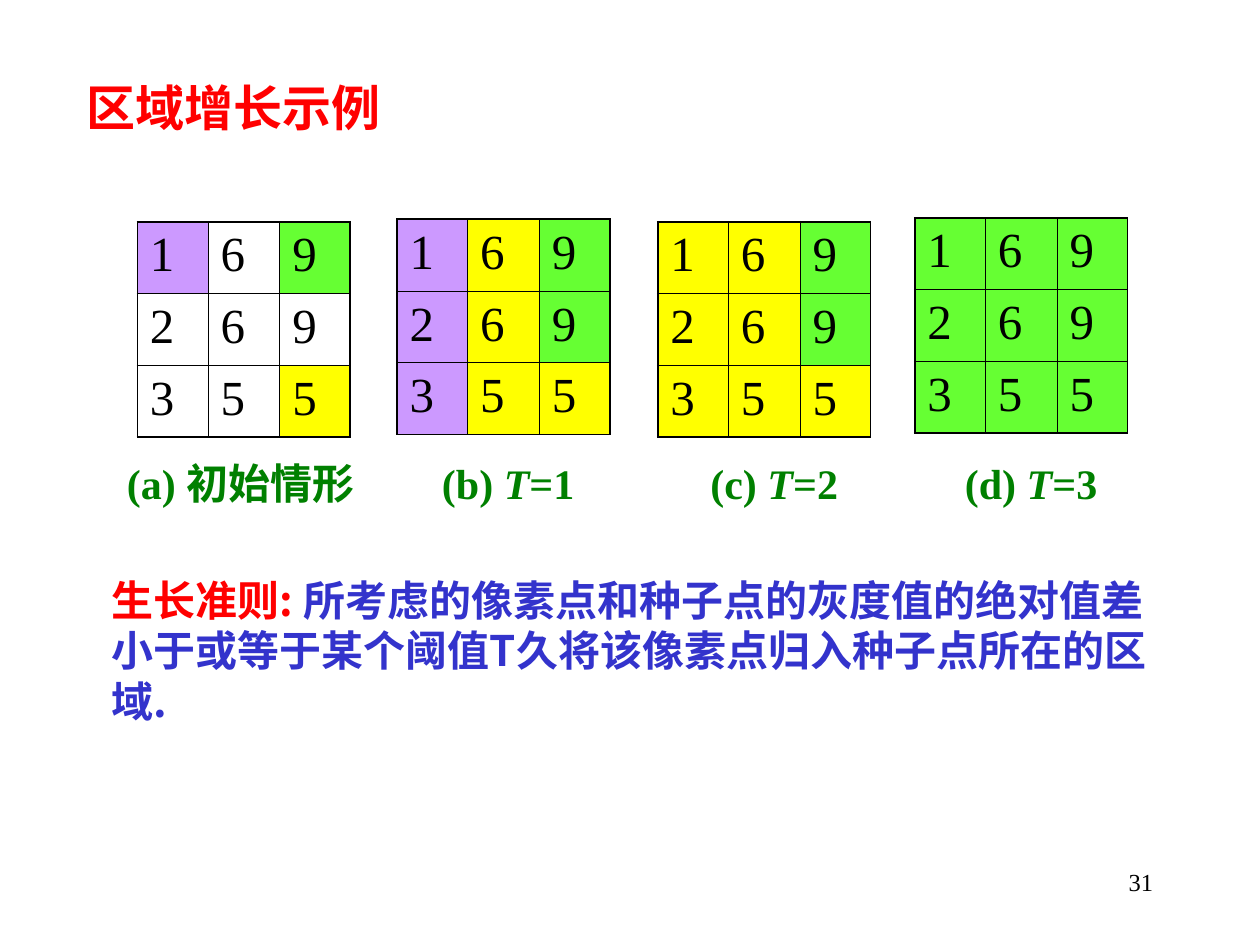
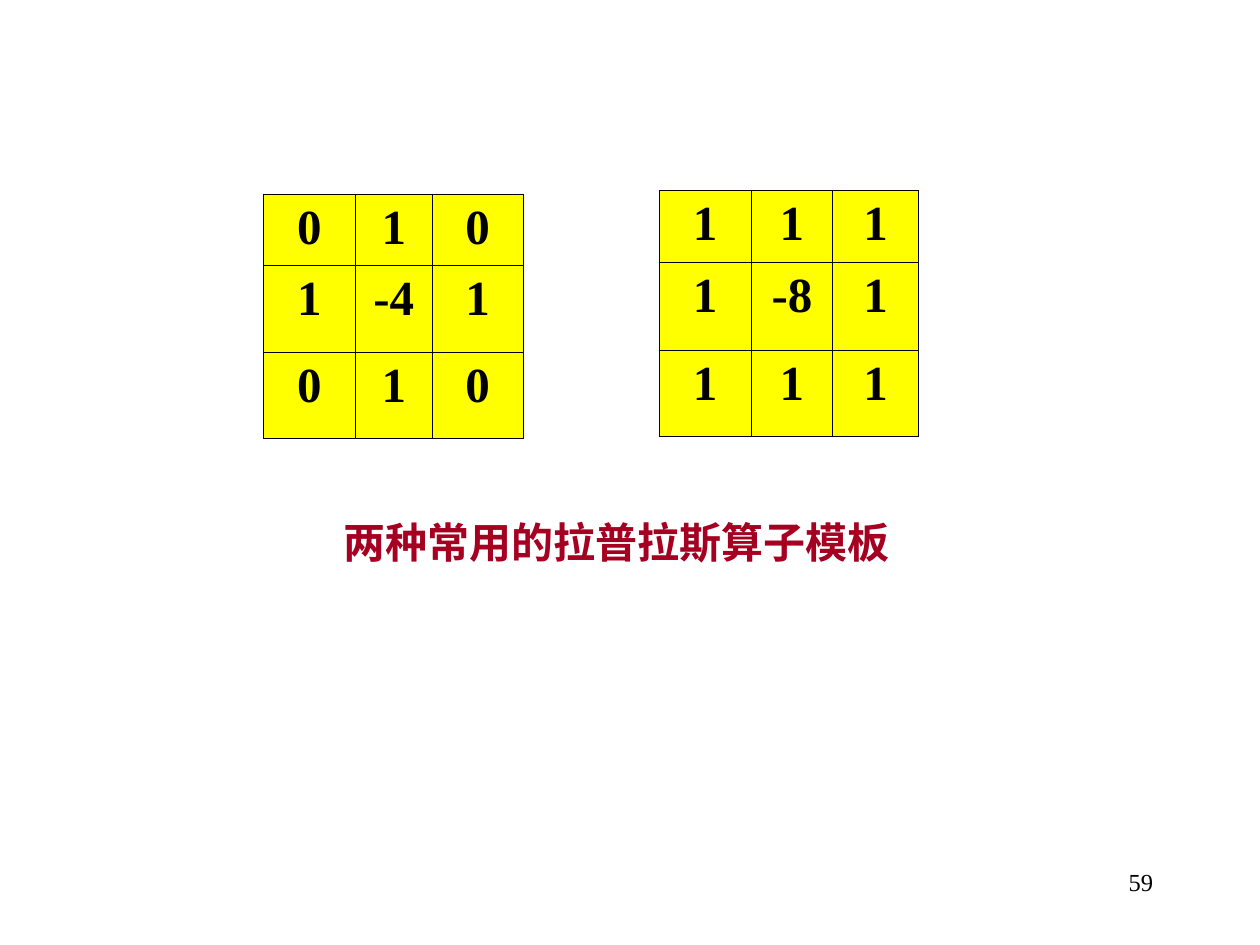
from itertools import product

from pptx import Presentation
from pptx.dml.color import RGBColor
from pptx.enum.text import PP_ALIGN
from pptx.oxml.ns import qn
from pptx.util import Inches, Pt
from lxml.etree import SubElement

COLORS = {
    "title": "FF0000",
    "caption": "008000",
    "body": "3333CC",
    "note": "A50021",
    "ink": "000000",
    "violet": "CC99FF",
    "green": "66FF33",
    "yellow": "FFFF00",
}
FILLS = {"V": "violet", "G": "green", "Y": "yellow"}
SERIF = "Times New Roman"
SANS = "Noto Sans CJK SC"
THIN, THICK = 0.45, 1.08


def rgb(name):
    return RGBColor.from_string(COLORS[name])


def write(tf, text, size=24, color="ink", font=SERIF, bold=False,
          align=PP_ALIGN.LEFT, tabs=()):
    tf.word_wrap = True
    p = tf.paragraphs[0]
    p.alignment = align
    if tabs:
        stops = SubElement(p._p.get_or_add_pPr(), qn("a:tabLst"))
        for pos in tabs:
            SubElement(stops, qn("a:tab"), pos=str(Inches(pos)), algn="l")
    runs = [(text, {})] if isinstance(text, str) else text
    for words, changes in runs:
        r = p.add_run()
        r.text = words
        r.font.size = Pt(size)
        r.font.name = font
        r.font.bold = bold
        r.font.italic = changes.get("italic", False)
        r.font.color.rgb = rgb(changes.get("color", color))
        SubElement(r._r.get_or_add_rPr(), qn("a:ea"), typeface=SANS)


def add_text(slide, box, text, **fmt):
    sp = slide.shapes.add_textbox(*map(Inches, box))
    write(sp.text_frame, text, **fmt)


def add_border(cell, side, width):
    tcPr = cell._tc.get_or_add_tcPr()
    ln = SubElement(tcPr, qn(f"a:ln{side}"), w=str(Pt(width)))
    fill = SubElement(ln, qn("a:solidFill"))
    SubElement(fill, qn("a:srgbClr"), val=COLORS["ink"])


def add_grid(slide, left, top, cols, rows, values, fills, edge=THIN, **fmt):
    frame = slide.shapes.add_table(
        len(rows), len(cols), Inches(left), Inches(top),
        Inches(sum(cols)), Inches(sum(rows)))
    table = frame.table
    table.first_row = table.horz_banding = False
    for col, width in zip(table.columns, cols):
        col.width = Inches(width)
    for row, height in zip(table.rows, rows):
        row.height = Inches(height)
    for i, j in product(range(len(rows)), range(len(cols))):
        cell = table.cell(i, j)
        outer = {"L": j == 0, "R": j == len(cols) - 1,
                 "T": i == 0, "B": i == len(rows) - 1}
        for side, is_outer in outer.items():
            add_border(cell, side, edge if is_outer else THIN)
        if fills[i][j] in FILLS:
            cell.fill.solid()
            cell.fill.fore_color.rgb = rgb(FILLS[fills[i][j]])
        else:
            cell.fill.background()
        write(cell.text_frame, str(values[i][j]), size=28, **fmt)


def add_page_number(slide, number):
    add_text(slide, (7.17, 6.83, 2.08, 0.5), str(number), size=14,
             align=PP_ALIGN.RIGHT)


def region_growing_slide(prs):
    slide = prs.slides.add_slide(prs.slide_layouts[6])
    add_text(slide, (0.59, 0.57, 2.95, 0.57), "区域增长示例", size=28,
             color="title", bold=True)
    pixels = [(1, 6, 9), (2, 6, 9), (3, 5, 5)]
    stages = [
        (1.09, 1.76, ("V-G", "---", "--Y")),
        (3.15, 1.74, ("VYG", "VYG", "VYY")),
        (5.22, 1.76, ("YYG", "YYG", "YYY")),
        (7.26, 1.73, ("GGG", "GGG", "GGG")),
    ]
    for left, top, fills in stages:
        add_grid(slide, left, top, (0.56, 0.57, 0.56), (0.57,) * 3,
                 pixels, fills, edge=THICK)
    captions = [("(a) 初始情形", {})]
    for threshold, letter in enumerate("bcd", 1):
        captions += [(f"\t({letter}) ", {}), ("T", {"italic": True}),
                     (f"={threshold}", {})]
    add_text(slide, (0.91, 3.58, 8, 0.5), captions, color="caption",
             bold=True, tabs=(2.5, 4.63, 6.65))
    rule = [
        ("生长准则: ", {"color": "title"}),
        ("所考虑的像素点和种子点的灰度值的绝对值差小于或等于某个阈值T"
         "久将该像素点归入种子点所在的区域.", {}),
    ]
    add_text(slide, (0.79, 4.51, 8.63, 1.3), rule, color="body", font=SANS,
             bold=True)
    add_page_number(slide, 31)


def laplacian_slide(prs):
    slide = prs.slides.add_slide(prs.slide_layouts[6])
    add_text(slide, (1.88, 4.05, 6.02, 0.5), "两种常用的拉普拉斯算子模板",
             color="note", font=SANS, bold=True, align=PP_ALIGN.CENTER)
    masks = [
        (2.09, 1.54, (0.73, 0.61, 0.72), (0.57, 0.69, 0.68),
         [(0, 1, 0), (1, -4, 1), (0, 1, 0)]),
        (5.23, 1.51, (0.73, 0.65, 0.68), (0.57, 0.7, 0.68),
         [(1, 1, 1), (1, -8, 1), (1, 1, 1)]),
    ]
    for left, top, cols, rows, weights in masks:
        add_grid(slide, left, top, cols, rows, weights, ("YYY",) * 3,
                 bold=True, align=PP_ALIGN.CENTER)
    add_page_number(slide, 59)


def main():
    prs = Presentation()
    prs.slide_width, prs.slide_height = Inches(10), Inches(7.5)
    region_growing_slide(prs)
    laplacian_slide(prs)
    prs.save("out.pptx")


if __name__ == "__main__":
    main()
